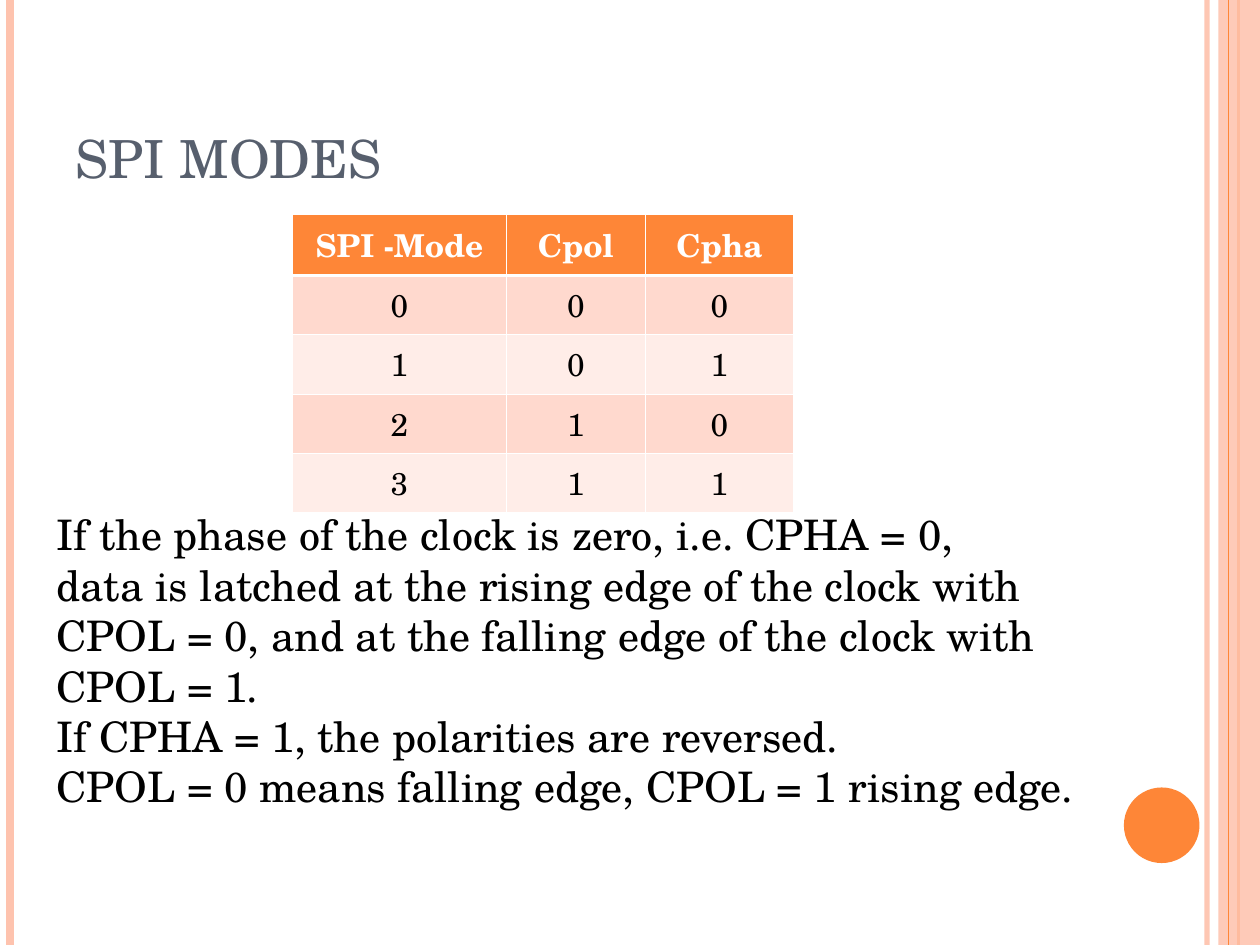
from lxml import etree
from pptx import Presentation
from pptx.dml.color import RGBColor
from pptx.enum.shapes import MSO_CONNECTOR, MSO_SHAPE
from pptx.enum.text import MSO_ANCHOR, PP_ALIGN
from pptx.oxml import parse_xml
from pptx.oxml.ns import nsdecls, qn
from pptx.util import Inches, Pt

FONT = "TeX Gyre Schola"
ORANGE = RGBColor(0xFE, 0x86, 0x37)
PEACH = RGBColor(0xFE, 0xC3, 0xAE)
SLATE = RGBColor(0x57, 0x5F, 0x6D)
BAND_DARK = RGBColor(0xFF, 0xD9, 0xCE)
BAND_LIGHT = RGBColor(0xFF, 0xED, 0xE8)
BLACK = RGBColor(0, 0, 0)
WHITE = RGBColor(0xFF, 0xFF, 0xFF)

MODES = [
    ("SPI -Mode", "Cpol", "Cpha"),
    ("0", "0", "0"),
    ("1", "0", "1"),
    ("2", "1", "0"),
    ("3", "1", "1"),
]
COLUMN_WIDTHS = (1.7, 1.1, 1.18)
EXPLANATION = [
    "If the phase of the clock is zero, i.e. CPHA = 0,",
    "data is latched at the rising edge of the clock with CPOL = 0, "
    "and at the falling edge of the clock with CPOL = 1.",
    "If CPHA = 1, the polarities are reversed.",
    "CPOL = 0 means falling edge, CPOL = 1 rising edge.",
]


def style_font(paragraph, size, color, bold=False):
    """Set the font of a whole paragraph."""
    font = paragraph.font
    font.name, font.size, font.bold = FONT, Pt(size), bold
    font.color.rgb = color


def set_alpha(shape, percent):
    """Make the first solid colour of a shape partly transparent."""
    color = shape._element.spPr.find(".//" + qn("a:srgbClr"))
    etree.SubElement(color, qn("a:alpha"), val=str(percent * 1000))


def add_stripe(slide, x, width, color, alpha=None):
    """Draw a vertical line over the full slide height."""
    stripe = slide.shapes.add_connector(
        MSO_CONNECTOR.STRAIGHT, Inches(x), 0, Inches(x), Inches(7.5))
    stripe.line.color.rgb = color
    stripe.line.width = Pt(width)
    etree.SubElement(stripe._element.spPr, qn("a:effectLst"))
    if alpha:
        set_alpha(stripe, alpha)


def add_solid(slide, kind, left, top, width, height, color):
    """Add a filled preset shape without an outline."""
    shape = slide.shapes.add_shape(
        kind, Inches(left), Inches(top), Inches(width), Inches(height))
    shape.shadow.inherit = False
    shape.fill.solid()
    shape.fill.fore_color.rgb = color
    shape.line.fill.background()
    return shape


def add_decoration(slide):
    """Draw the side stripes, the right band and the circle."""
    add_stripe(slide, 9.58, 3, PEACH, 93)
    add_stripe(slide, 0.08, 4.5, PEACH)
    add_stripe(slide, 9.83, 1.5, ORANGE)
    band = add_solid(slide, MSO_SHAPE.RECTANGLE, 9.67, 0, 0.33, 7.5, PEACH)
    set_alpha(band, 87)
    add_stripe(slide, 9.75, 0.75, ORANGE)
    add_solid(slide, MSO_SHAPE.OVAL, 8.92, 6.25, 0.6, 0.6, ORANGE)


def format_title(slide, text):
    """Place and format the title placeholder."""
    title = slide.shapes.title
    title.left, title.top = Inches(0.5), Inches(0.3)
    title.width, title.height = Inches(8.17), Inches(1.25)
    frame = title.text_frame
    frame.text = text
    frame.vertical_anchor = MSO_ANCHOR.BOTTOM
    frame.paragraphs[0].alignment = PP_ALIGN.LEFT
    style_font(frame.paragraphs[0], 30, SLATE)


def set_borders(cell, top, bottom):
    """Give a cell white borders with the top and bottom widths in points."""
    properties = cell._tc.get_or_add_tcPr()
    widths = {"lnL": 0.45, "lnR": 0.45, "lnT": top, "lnB": bottom}
    for index, (side, width) in enumerate(widths.items()):
        properties.insert(index, parse_xml(
            f'<a:{side} {nsdecls("a")} w="{Pt(width)}"><a:solidFill>'
            f'<a:srgbClr val="{WHITE}"/></a:solidFill></a:{side}>'))


def add_mode_table(slide):
    """Add the banded table of SPI modes."""
    table = slide.shapes.add_table(
        len(MODES), len(COLUMN_WIDTHS), Inches(2.32), Inches(1.7),
        Inches(sum(COLUMN_WIDTHS)), Inches(2.36)).table
    for column, width in zip(table.columns, COLUMN_WIDTHS):
        column.width = Inches(width)
    for row_index, values in enumerate(MODES):
        header = row_index == 0
        band = BAND_DARK if row_index % 2 else BAND_LIGHT
        table.rows[row_index].height = Inches(0.48 if header else 0.47)
        for column_index, value in enumerate(values):
            cell = table.cell(row_index, column_index)
            cell.text = value
            cell.vertical_anchor = MSO_ANCHOR.MIDDLE
            cell.fill.solid()
            cell.fill.fore_color.rgb = ORANGE if header else band
            paragraph = cell.text_frame.paragraphs[0]
            paragraph.alignment = PP_ALIGN.CENTER
            style_font(paragraph, 18, WHITE if header else BLACK, header)
            set_borders(cell, 1.47 if row_index == 1 else 0.45,
                        1.47 if header else 0.45)


def add_explanation(slide):
    """Add the paragraphs below the table."""
    box = slide.shapes.add_textbox(
        Inches(0.35), Inches(3.99), Inches(8.75), Inches(2.5))
    frame = box.text_frame
    frame.word_wrap = True
    frame.text = "\n".join(EXPLANATION)
    for paragraph in frame.paragraphs:
        style_font(paragraph, 24, BLACK)


def main():
    """Build the SPI modes slide."""
    presentation = Presentation()
    presentation.slide_width = Inches(10)
    presentation.slide_height = Inches(7.5)
    slide = presentation.slides.add_slide(presentation.slide_layouts[5])
    add_decoration(slide)
    format_title(slide, "SPI MODES")
    add_mode_table(slide)
    add_explanation(slide)
    presentation.save("out.pptx")


if __name__ == "__main__":
    main()
